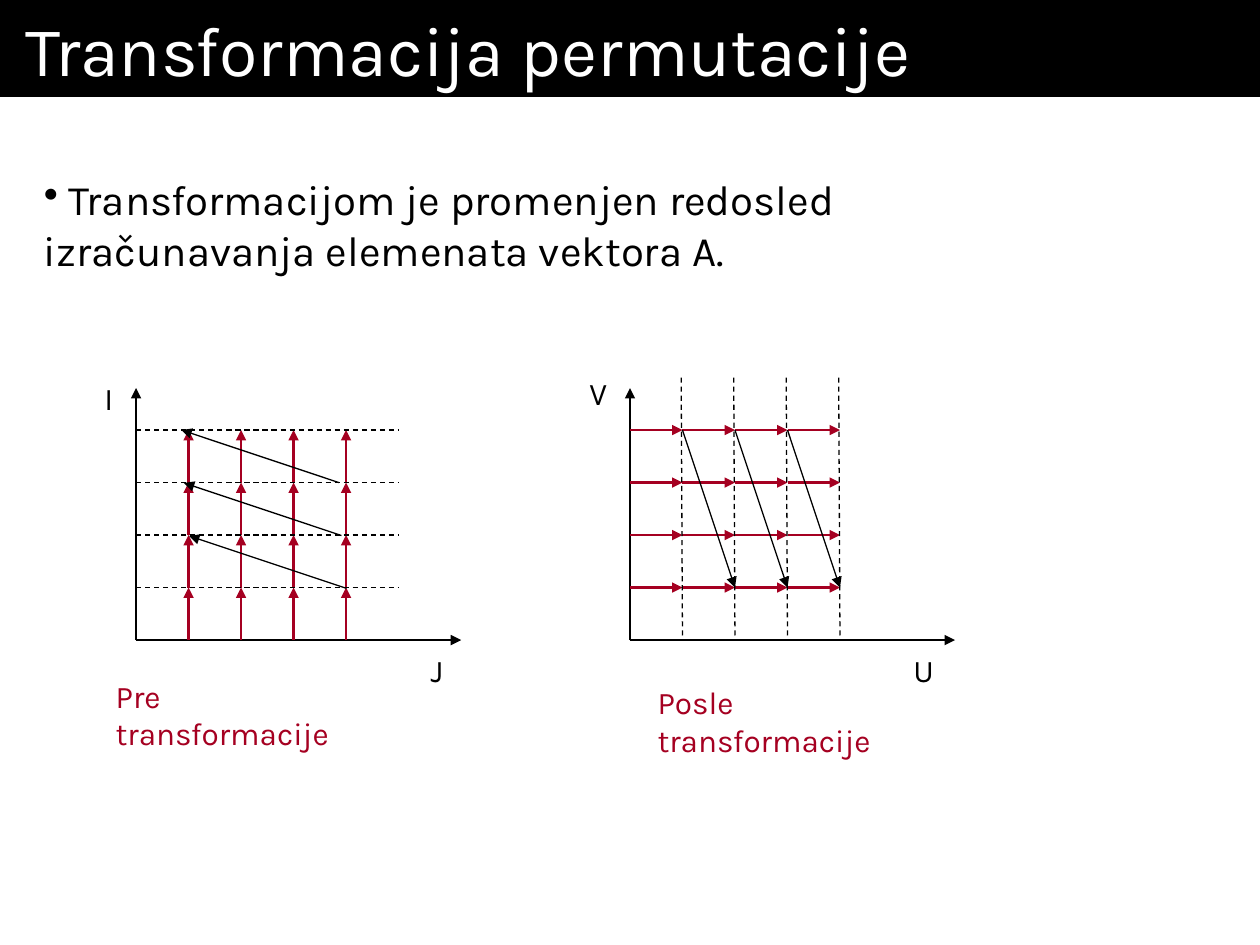
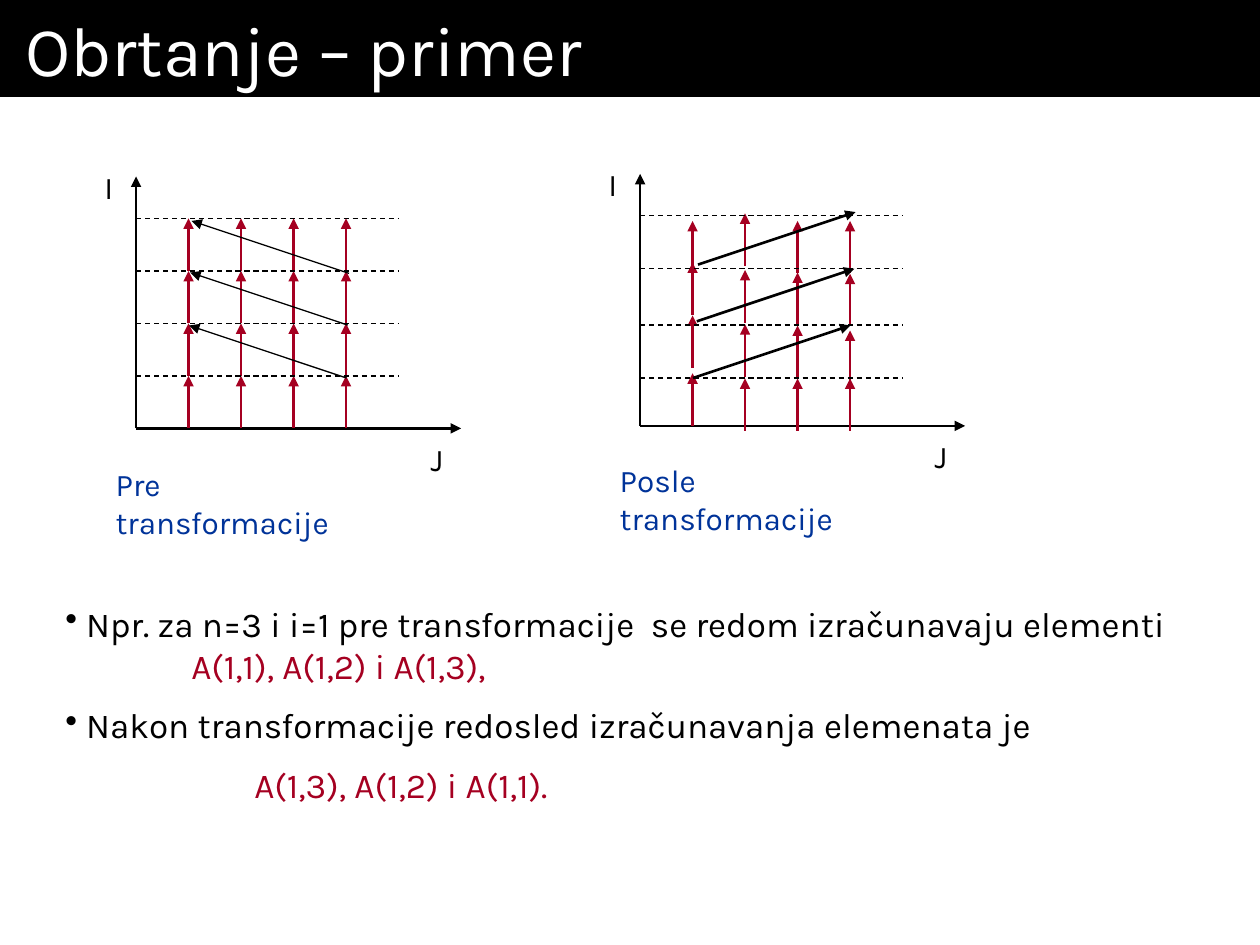
from pptx import Presentation
from pptx import util as u
from pptx.dml import color
from pptx.enum import dml, shapes, text
from pptx.oxml import ns, xmlchemy

COLORS = {"black": "000000", "white": "FFFFFF", "red": "A50021", "blue": "003399"}
FONT = "Karla"
STEP = 5 / 12            # side of one grid cell
CELLS = range(4)
AXIS_UP, AXIS_RIGHT = 2, 2.58
GRID_LENGTH = 5 * STEP   # dashed lines run one cell past the arrows

# Axis letters: offset from the origin and box width
AXIS_LETTERS = {
    "I": (-0.35, -2.12, 0.27), "J": (2.24, 0.04, 0.33),
    "V": (-0.42, -2.16, 0.37), "U": (2.15, 0.04, 0.38),
}
CAPTION_WIDTHS = {"Pre transformacije": 2.3, "Posle transformacije": 2.51}


def rgb(name):
    return color.RGBColor.from_string(COLORS[name])


class Deck:
    def __init__(self):
        self.presentation = Presentation()
        self.presentation.slide_width = u.Inches(10)
        self.presentation.slide_height = u.Inches(7.5)
        self.slide = None

    def add_slide(self, title):
        self.slide = self.presentation.slides.add_slide(self.presentation.slide_layouts[6])
        band = self.slide.shapes.add_shape(
            shapes.MSO_SHAPE.RECTANGLE, 0, 0, u.Inches(10), u.Inches(0.77))
        band.shadow.inherit = False
        band.fill.solid()
        band.fill.fore_color.rgb = rgb("black")
        band.line.fill.background()
        frame = band.text_frame
        frame.word_wrap = True
        frame.margin_left = frame.margin_right = u.Inches(0.2)
        frame.vertical_anchor = text.MSO_ANCHOR.MIDDLE
        frame.paragraphs[0].alignment = text.PP_ALIGN.LEFT
        self.run(frame.paragraphs[0], title, 40, "white")

    def run(self, paragraph, words, size, tint="black"):
        run = paragraph.add_run()
        run.text = words
        run.font.name = FONT
        run.font.size = u.Pt(size)
        run.font.color.rgb = rgb(tint)

    def text_box(self, left, top, width, height, wrap=True):
        box = self.slide.shapes.add_textbox(*map(u.Inches, (left, top, width, height)))
        frame = box.text_frame
        frame.word_wrap = wrap
        frame.vertical_anchor = text.MSO_ANCHOR.BOTTOM
        return frame

    def bullet(self, paragraph):
        properties = paragraph._p.get_or_add_pPr()
        mark = xmlchemy.OxmlElement("a:buChar")
        mark.set("char", "•")
        properties.append(mark)

    def line(self, start, end, tint="black", weight=1.5, arrow=True, dashed=False):
        line = self.slide.shapes.add_connector(
            shapes.MSO_CONNECTOR.STRAIGHT, *map(u.Inches, (*start, *end)))
        line.line.color.rgb = rgb(tint)
        line.line.width = u.Pt(weight)
        if dashed:
            line.line.dash_style = dml.MSO_LINE.DASH
        properties = line._element.spPr
        if arrow:
            tip = xmlchemy.OxmlElement("a:tailEnd")
            tip.set("type", "triangle")
            properties.find(ns.qn("a:ln")).append(tip)
        properties.append(xmlchemy.OxmlElement("a:effectLst"))

    def grid_line(self, start, end):
        self.line(start, end, weight=0.75, arrow=False, dashed=True)

    def axes(self, x, y, letters):
        self.line((x, y), (x, y - AXIS_UP))
        self.line((x, y), (x + AXIS_RIGHT, y))
        for letter in letters:
            dx, dy, width = AXIS_LETTERS[letter]
            frame = self.text_box(x + dx, y + dy, width, 0.4, wrap=False)
            self.run(frame.paragraphs[0], letter, 18)

    def caption(self, words, left, top, tint):
        frame = self.text_box(left, top, CAPTION_WIDTHS[words], 0.4)
        frame.margin_right = u.Inches(0.2)
        self.run(frame.paragraphs[0], words, 18, tint)

    def column_loops(self, x, column_starts, rows):
        """Upward arrows in each column, with dashed row lines."""
        for column, starts in enumerate(column_starts, 1):
            for start in starts:
                at = x + column * STEP
                self.line((at, start), (at, start - STEP), "red")
        for row in rows:
            self.grid_line((x, row), (x + GRID_LENGTH, row))

    def row_loops(self, x, y):
        """Rightward arrows in each row, with dashed column lines."""
        for i in CELLS:
            row = y - (i + 1) * STEP
            for j in CELLS:
                self.line((x + j * STEP, row), (x + (j + 1) * STEP, row), "red")
        for j in CELLS:
            column = x + (j + 1) * STEP
            self.grid_line((column - 0.01, y - GRID_LENGTH), (column, y))

    def jumps(self, starts, dx, dy, weight=0.75):
        for x, y in starts:
            self.line((x, y), (x + dx, y + dy), weight=weight)

    def before_diagram(self, x, y, jump_starts, tint):
        self.axes(x, y, "IJ")
        levels = [y - i * STEP for i in range(5)]
        self.column_loops(x, [levels[:4]] * 4, levels[1:])
        self.caption("Pre transformacije", x - 0.26, y + 0.54, tint)
        self.jumps(jump_starts, -3 * STEP, -STEP)


def permutation_slide(deck):
    deck.add_slide("Transformacija permutacije")
    statement = deck.text_box(0.25, 1.33, 8.58, 0.9).paragraphs[0]
    deck.bullet(statement)
    deck.run(statement, " Transformacijom je promenjen redosled "
                        "izračunavanja elemenata vektora A.", 24)

    # Order before the permutation
    deck.before_diagram(1.08, 5.08, [(2.75, 4.67), (2.71, 4.25), (2.69, 3.83)], "red")

    # Order after the permutation
    x, y = 5, 5.08
    deck.axes(x, y, "VU")
    deck.row_loops(x, y)
    deck.caption("Posle transformacije", 5.12, 5.67, "red")
    deck.jumps([(x + j * STEP, y - 4 * STEP) for j in (1, 2, 3)], STEP, 3 * STEP)


def reversal_slide(deck):
    deck.add_slide("Obrtanje – primer")

    # Order before the reversal
    deck.before_diagram(1.08, 3.4, [(2.75, 3), (2.76, 2.58), (2.77, 2.17)], "blue")

    # Order after the reversal
    x, y = 5.08, 3.38
    deck.axes(x, y, "IJ")
    deck.column_loops(x, [
        (3.38, 2.92, 2.5, 2.17),
        (3.42, 2.99, 2.56, 2.11),
        (3.42, 3, 2.58, 2.17),
        (3.42, 3.04, 2.59, 2.17),
    ], (3, 2.58, 2.13, 1.71))
    deck.caption("Posle transformacije", x - 0.26, y + 0.53, "blue")
    deck.jumps([(5.5, 3), (5.53, 2.55), (5.54, 2.1)], 3 * STEP, -STEP, weight=1.5)

    # Worked example
    frame = deck.text_box(0.42, 4.67, 8.98, 1.77)
    before, after = frame.paragraphs[0], frame.add_paragraph()
    result = frame.add_paragraph()
    for paragraph in (before, after, result):
        paragraph.space_before = u.Pt(10)
    for paragraph in (before, after):
        deck.bullet(paragraph)
    deck.run(before, " Npr. za n=3 i i=1 pre transformacije  se redom "
                     "izračunavaju elementi \t\t", 20)
    deck.run(before, "A(1,1), A(1,2) i A(1,3),", 20, "red")
    deck.run(after, " Nakon transformacije redosled izračunavanja elemenata je", 20)
    result.level = 1
    result._p.get_or_add_pPr().set("marL", str(u.Inches(0.5)))
    deck.run(result, "\t\tA(1,3), A(1,2) i A(1,1).", 20, "red")


def main():
    deck = Deck()
    permutation_slide(deck)
    reversal_slide(deck)
    deck.presentation.save("out.pptx")


if __name__ == "__main__":
    main()
